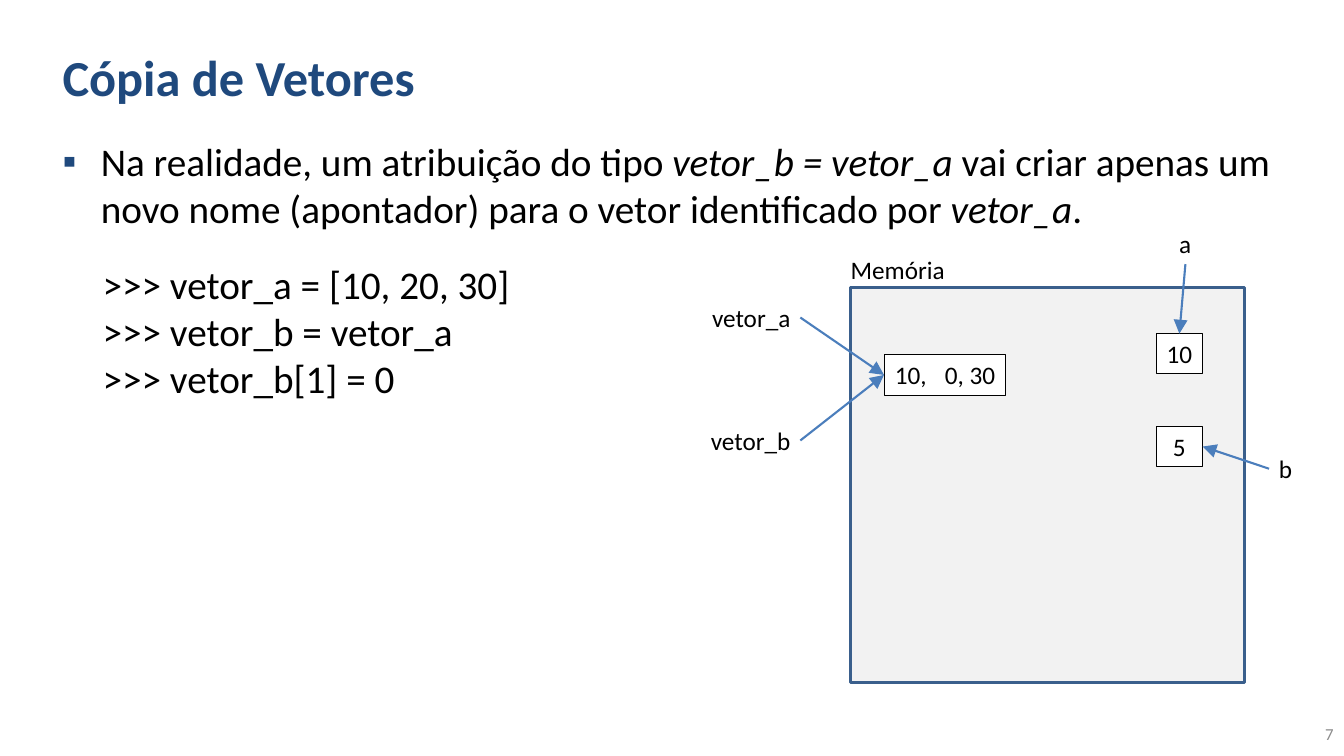
from dataclasses import dataclass

from lxml import etree
from pptx import Presentation
from pptx import util as u
from pptx.dml.color import RGBColor
from pptx.enum import shapes, text
from pptx.oxml import ns

COLORS = {
    "navy": "1F497D",
    "black": "000000",
    "white": "FFFFFF",
    "gray": "8C8C8C",
    "memory": "F2F2F2",
    "border": "3A5F8C",
    "arrow": "4B7EBC",
}
FONT = "Calibri"
GRID = u.Inches(0.1)  # one column or row
SLIDE_COLUMNS, SLIDE_ROWS = 133.33, 75
MARGIN = 5.2
LABEL_ROWS = 4
TOP, LEFT, BOTTOM, RIGHT = range(4)  # connection sites of a rectangle
ALIGN = text.PP_ALIGN


@dataclass(frozen=True)
class Run:
    text: str
    size: float = 18
    color: str = "black"
    bold: bool = False
    italic: bool = False
    spacing: float = 0  # points added after each character


@dataclass(frozen=True)
class Label:
    column: float
    row: float
    columns: float
    runs: tuple[Run, ...]
    align: ALIGN = ALIGN.LEFT
    boxed: bool = False


@dataclass(frozen=True)
class Arrow:
    start: str
    start_site: int
    end: str
    end_site: int


LABELS = {
    "memory": Label(83.4, 24.7, 11.5, (Run("Memória"),)),
    "a": Label(116, 22.2, 3.2, (Run("a"),)),
    "b": Label(125.9, 44.5, 3.4, (Run("b"),)),
    "vetor_a": Label(69.5, 29.5, 9.9, (Run("vetor_a"),), ALIGN.RIGHT),
    "vetor_b": Label(69.4, 41.7, 10, (Run("vetor_b"),), ALIGN.RIGHT),
    "ten": Label(114.7, 33.1, 4.6, (Run("10"),), ALIGN.CENTER, True),
    "five": Label(114.7, 42.3, 4.6, (Run("5"),), ALIGN.CENTER, True),
    "vector": Label(
        87.7, 35.2, 12.1,
        (Run("10,"), Run(" ", spacing=9), Run("0, 30")),
        ALIGN.CENTER, True,
    ),
}
ARROWS = (
    Arrow("a", BOTTOM, "ten", TOP),
    Arrow("b", LEFT, "five", RIGHT),
    Arrow("vetor_a", RIGHT, "vector", LEFT),
    Arrow("vetor_b", RIGHT, "vector", LEFT),
)
BODY = (
    Run("Na realidade, um atribuição do tipo ", 28),
    Run("vetor_b = vetor_a ", 28, italic=True),
    Run("vai criar apenas um novo nome (apontador) para o vetor identificado por ", 28),
    Run("vetor_a", 28, italic=True),
    Run(".", 28),
)
CODE = (">>> vetor_a = [10, 20, 30]", ">>> vetor_b = vetor_a", ">>> vetor_b[1] = 0")


def rgb(name: str) -> RGBColor:
    return RGBColor.from_string(COLORS[name])


def cells(*counts: float) -> list[int]:
    """Convert counts of grid columns or rows to lengths."""
    return [round(count * GRID) for count in counts]


def place(shape, *box: float) -> None:
    shape.left, shape.top, shape.width, shape.height = cells(*box)


def write(paragraph, runs: tuple[Run, ...], align: ALIGN = ALIGN.LEFT) -> None:
    paragraph.alignment = align
    for item in runs:
        run = paragraph.add_run()
        run.text = item.text
        run.font.name = FONT
        run.font.size = u.Pt(item.size)
        run.font.bold = item.bold
        run.font.italic = item.italic
        run.font.color.rgb = rgb(item.color)
        if item.spacing:
            run._r.get_or_add_rPr().set("spc", str(round(item.spacing * 100)))


def indent(paragraph, left: float, first: float = 0):
    properties = paragraph._p.get_or_add_pPr()
    properties.set("marL", str(u.Inches(left)))
    properties.set("indent", str(u.Inches(first)))
    return properties


def add_rectangle(slide, box: tuple[float, ...], fill: str, line: str, width: float):
    shape = slide.shapes.add_shape(shapes.MSO_SHAPE.RECTANGLE, *cells(*box))
    shape.shadow.inherit = False
    shape.fill.solid()
    shape.fill.fore_color.rgb = rgb(fill)
    shape.line.color.rgb = rgb(line)
    shape.line.width = u.Pt(width)
    return shape


def add_label(slide, label: Label):
    box = (label.column, label.row, label.columns, LABEL_ROWS)
    if label.boxed:
        shape = add_rectangle(slide, box, "white", "black", 0.75)
    else:
        shape = slide.shapes.add_textbox(*cells(*box))
    frame = shape.text_frame
    frame.word_wrap = False
    frame.auto_size = text.MSO_AUTO_SIZE.SHAPE_TO_FIT_TEXT
    frame.vertical_anchor = text.MSO_ANCHOR.TOP
    write(frame.paragraphs[0], label.runs, label.align)
    return shape


def add_arrow(slide, arrow: Arrow, ends: dict) -> None:
    connector = slide.shapes.add_connector(shapes.MSO_CONNECTOR.STRAIGHT, 0, 0, 0, 0)
    connector.begin_connect(ends[arrow.start], arrow.start_site)
    connector.end_connect(ends[arrow.end], arrow.end_site)
    connector.line.color.rgb = rgb("arrow")
    connector.line.width = u.Pt(1.5)
    line = connector.line._get_or_add_ln()
    etree.SubElement(line, ns.qn("a:tailEnd"), type="triangle", w="lg", len="lg")
    etree.SubElement(connector._element.spPr, ns.qn("a:effectLst"))


def add_title(slide) -> None:
    title = slide.shapes.title
    place(title, MARGIN, 1.3, 105.8, 12.5)
    title.text_frame.vertical_anchor = text.MSO_ANCHOR.MIDDLE
    write(title.text_frame.paragraphs[0], (Run("Cópia de Vetores", 36, "navy", bold=True),))


def add_body(slide) -> None:
    body = slide.placeholders[1]
    place(body, MARGIN, 13.1, 125.4, 12.3)
    body.text_frame.auto_size = text.MSO_AUTO_SIZE.NONE
    paragraph = body.text_frame.paragraphs[0]
    write(paragraph, BODY)
    properties = indent(paragraph, 0.38, -0.38)
    bullet_color = etree.SubElement(properties, ns.qn("a:buClr"))
    etree.SubElement(bullet_color, ns.qn("a:srgbClr"), val=COLORS["navy"])
    etree.SubElement(properties, ns.qn("a:buFont"), typeface="Arial")
    etree.SubElement(properties, ns.qn("a:buChar"), char="▪")


def add_code(slide) -> None:
    frame = slide.shapes.add_textbox(*cells(MARGIN, 25.3, 46.9, 15.1)).text_frame
    frame.word_wrap = False
    frame.auto_size = text.MSO_AUTO_SIZE.SHAPE_TO_FIT_TEXT
    for number, line in enumerate(CODE):
        paragraph = frame.add_paragraph() if number else frame.paragraphs[0]
        write(paragraph, (Run(line, 28),))
        indent(paragraph, 0.4)


def add_slide_number(slide) -> None:
    frame = slide.shapes.add_textbox(*cells(110, 70.8, 23.3, 4)).text_frame
    frame.word_wrap = True
    frame.vertical_anchor = text.MSO_ANCHOR.MIDDLE
    write(frame.paragraphs[0], (Run("7", 12, "gray"),), ALIGN.RIGHT)


def main() -> None:
    presentation = Presentation()
    presentation.slide_width, presentation.slide_height = cells(SLIDE_COLUMNS, SLIDE_ROWS)
    slide = presentation.slides.add_slide(presentation.slide_layouts[1])
    add_title(slide)
    add_body(slide)
    add_slide_number(slide)
    add_code(slide)
    add_rectangle(slide, (84.4, 28.5, 39.1, 39.2), "memory", "border", 2)
    ends = {name: add_label(slide, label) for name, label in LABELS.items()}
    for arrow in ARROWS:
        add_arrow(slide, arrow, ends)
    presentation.save("out.pptx")


if __name__ == "__main__":
    main()
